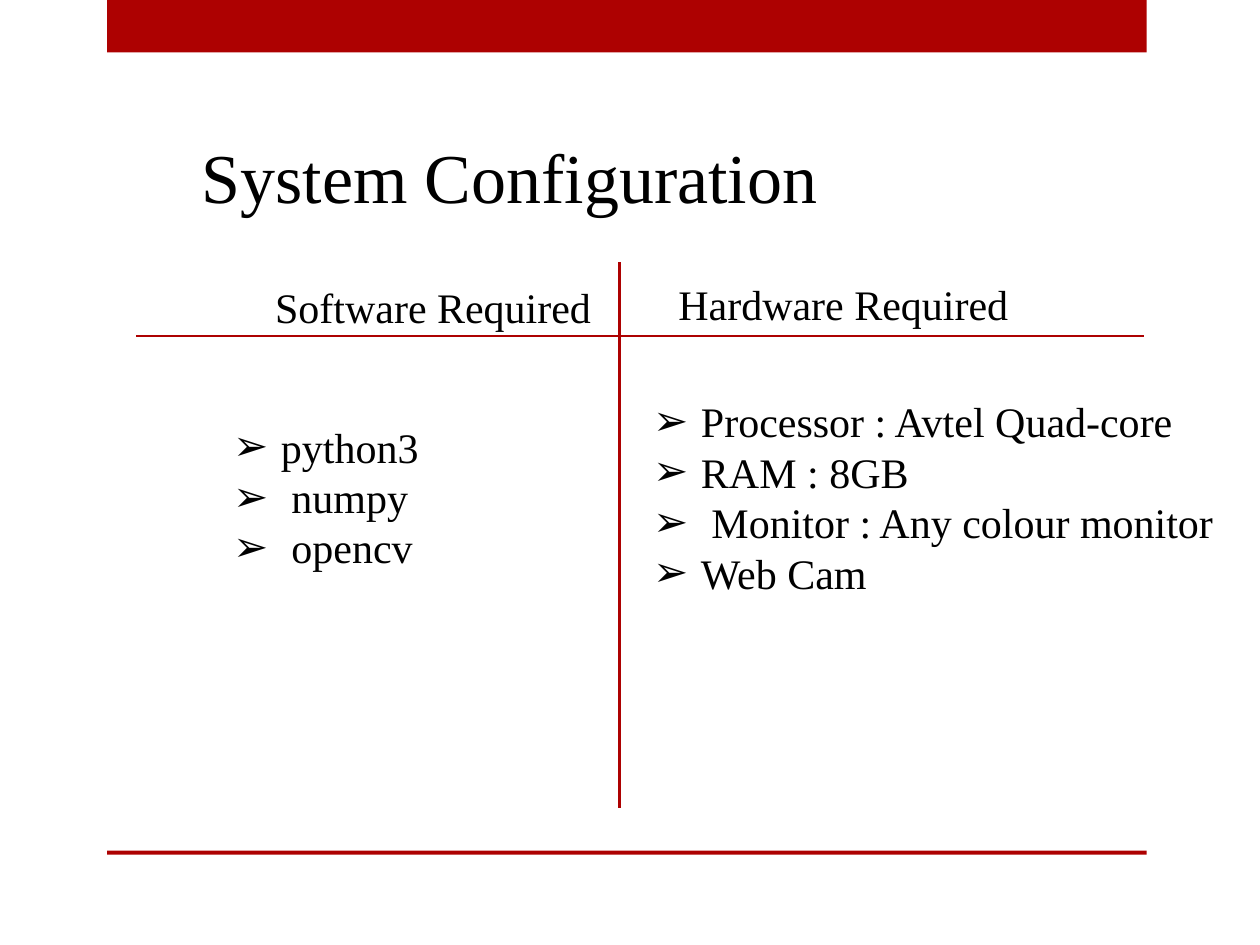
"""Build the System Configuration slide: a title over two headed lists."""
from dataclasses import dataclass

from pptx import Presentation
from pptx import util as u
from pptx.dml.color import RGBColor
from pptx.enum import shapes, text
from pptx.oxml.ns import qn

CELL = u.Inches(1) / 12


@dataclass(frozen=True)
class Theme:
    red: RGBColor = RGBColor(0xAD, 0x01, 0x01)
    ink: RGBColor = RGBColor(0, 0, 0)
    font: str = "Times New Roman"
    title: int = 40
    body: int = 24
    rule: float = 1.25


@dataclass(frozen=True)
class Box:
    col: float
    row: float
    cols: float
    rows: float

    def edges(self) -> list[int]:
        return grid(self.col, self.row, self.cols, self.rows)


@dataclass(frozen=True)
class Block:
    slot: int
    box: Box
    lines: tuple[str, ...]
    size: int
    list: bool = False


THEME = Theme()

BANDS = (Box(10.2, 0, 99, 5), Box(10.2, 81, 99, 0.4))
RULES = ((13, 32, 109, 32), (59, 25, 59, 77))
BLOCKS = (
    Block(0, Box(18, 12.1, 61.7, 9.2), ("System Configuration",), THEME.title),
    Block(1, Box(25, 26.2, 32.8, 6), ("Software Required",), THEME.body),
    Block(2, Box(21, 39.5, 21.2, 15.7),
          ("python3 ", " numpy ", " opencv"), THEME.body, True),
    Block(3, Box(63.4, 25.9, 34.2, 6), ("Hardware Required",), THEME.body),
    Block(4, Box(61, 37.1, 56.2, 20.6),
          ("Processor : Avtel Quad-core ", "RAM : 8GB",
           " Monitor : Any colour monitor", "Web Cam"), THEME.body, True),
)


def grid(*cells: float) -> list[int]:
    return [round(n * CELL) for n in cells]


def draw_band(slide, box: Box) -> None:
    band = slide.shapes.add_shape(shapes.MSO_SHAPE.RECTANGLE, *box.edges())
    band.shadow.inherit = False
    band.fill.solid()
    band.fill.fore_color.rgb = THEME.red
    band.line.fill.background()


def draw_rule(slide, ends: tuple[float, ...]) -> None:
    rule = slide.shapes.add_connector(
        shapes.MSO_CONNECTOR.STRAIGHT, *grid(*ends))
    rule.line.color.rgb = THEME.red
    rule.line.width = u.Pt(THEME.rule)
    props = rule._element.spPr
    props.append(props.makeelement(qn("a:effectLst"), {}))


def add_mark(para) -> None:
    props = para._p.get_or_add_pPr()
    inset = u.Inches(0.38)
    props.set("marL", str(inset))
    props.set("indent", str(-inset))
    props.append(props.makeelement(qn("a:buChar"), {"char": "➢"}))


def fill_block(slide, block: Block) -> None:
    shape = slide.placeholders[block.slot]
    shape.left, shape.top, shape.width, shape.height = block.box.edges()
    frame = shape.text_frame
    frame.text = "\n".join(block.lines)
    frame.word_wrap = False
    frame.auto_size = text.MSO_AUTO_SIZE.SHAPE_TO_FIT_TEXT
    frame.vertical_anchor = text.MSO_ANCHOR.TOP
    align = text.PP_ALIGN.JUSTIFY if block.list else text.PP_ALIGN.LEFT
    for para in frame.paragraphs:
        para.alignment = align
        para.space_before = u.Pt(0)
        font = para.font
        font.name, font.size, font.bold = THEME.font, u.Pt(block.size), False
        font.color.rgb = THEME.ink
        if block.list:
            add_mark(para)


def main() -> None:
    deck = Presentation()
    deck.slide_width, deck.slide_height = grid(120, 90)
    slide = deck.slides.add_slide(deck.slide_layouts.get_by_name("Comparison"))
    for box in BANDS:
        draw_band(slide, box)
    for ends in RULES:
        draw_rule(slide, ends)
    for block in BLOCKS:
        fill_block(slide, block)
    deck.save("out.pptx")


if __name__ == "__main__":
    main()
